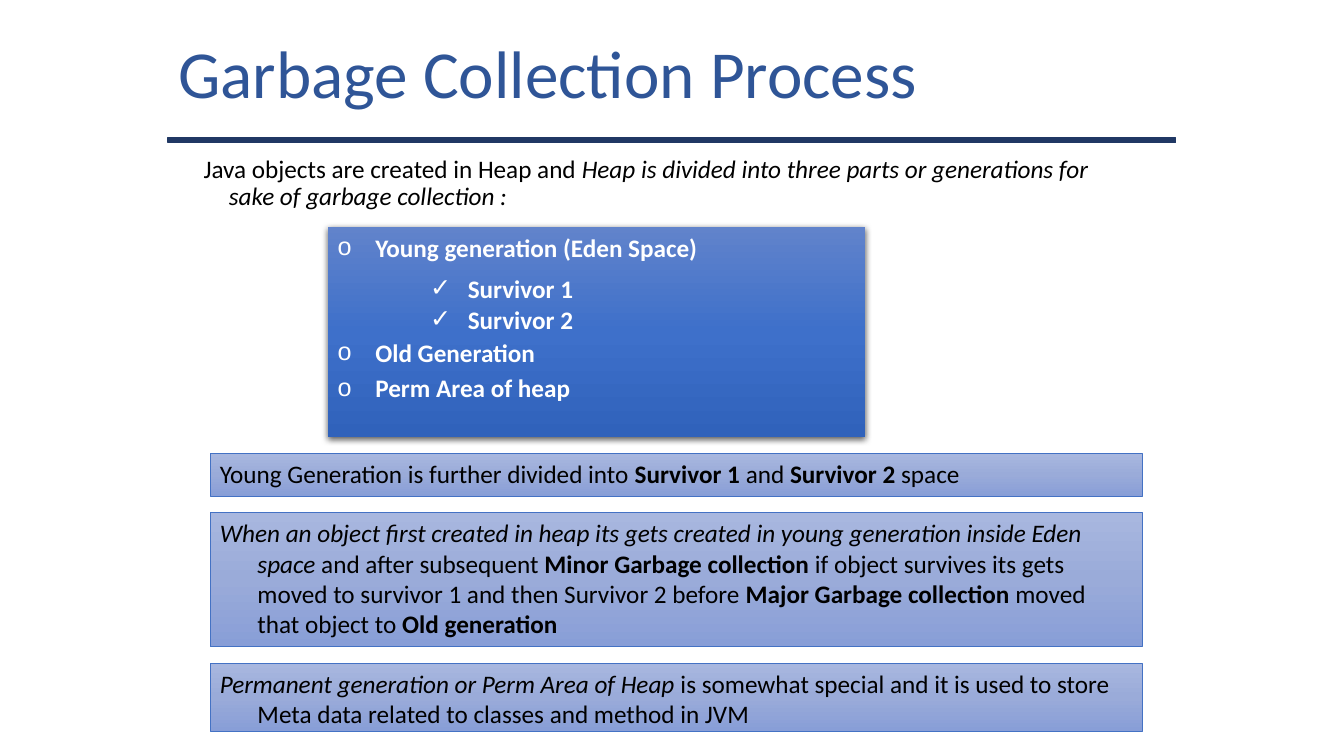
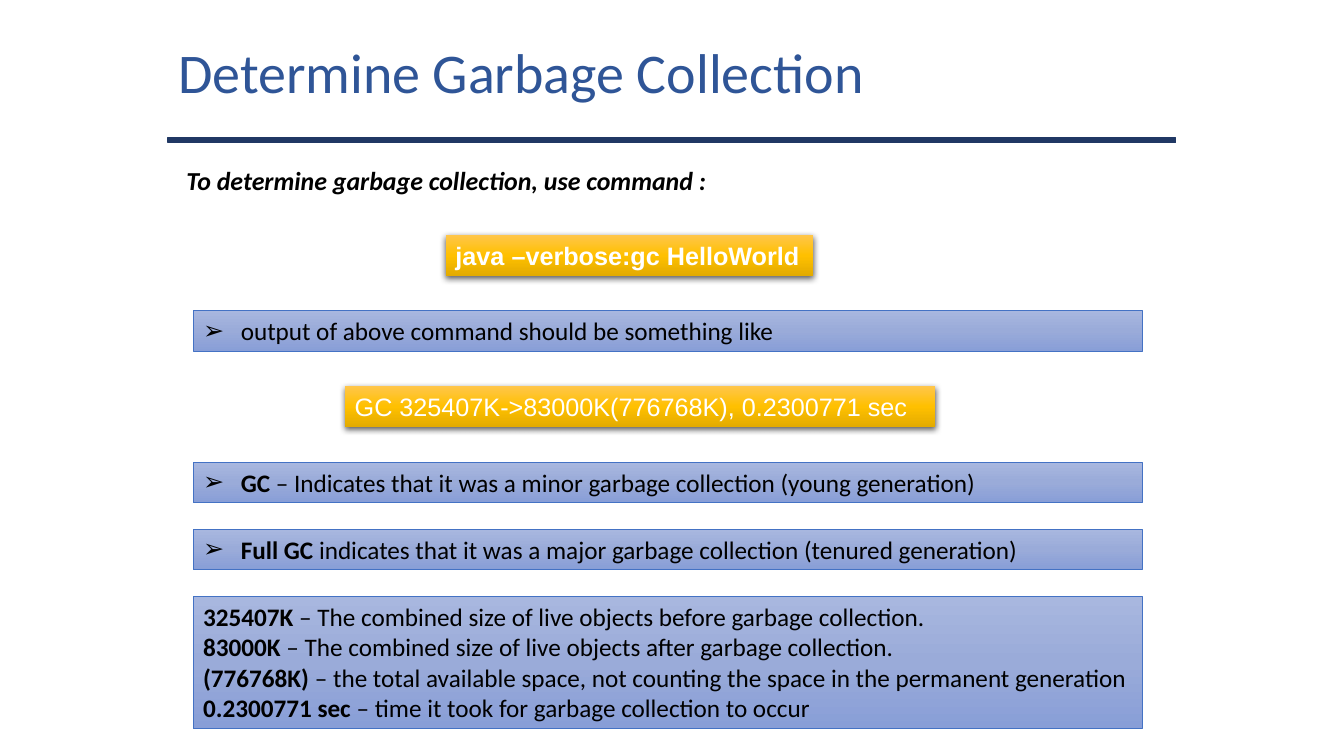
from copy import deepcopy
from itertools import accumulate
from lxml import etree
from pptx import Presentation, util as u
from pptx.dml.color import RGBColor
from pptx.enum import shapes, text
from pptx.oxml.ns import qn

Cm, Pt = u.Cm, u.Pt
NAVY, TITLE, BLACK, WHITE = "203864", "2F5597", "000000", "FFFFFF"
PALE = ("A8B7DF", "9AABD9", "889ED7")
BLUE = ("6183CB", "3E70CA", "3062BB")
GOLD = ("FFC64B", "FFC000", "E3AB00")
EDGE = "4472C4"
HANG = 0.95

# A paragraph is a list of (text, style) runs; style holds "b" and/or "i".
INTRO = [("Java objects are created in Heap and ", ""),
         ("Heap is divided into three parts or generations for sake of "
          "garbage collection :", "i")]

# text, bullet, left indent (cm), space before (pt)
PARTS = [
    ("Young generation (Eden Space)", "o", HANG, 0),
    ("Survivor 1", "✓", 3.28, 7.8),
    ("Survivor 2", "✓", 3.28, 0.4),
    ("Old Generation", "o", HANG, 2),
    ("Perm Area of heap", "o", HANG, 4),
]

# height (cm), paragraph
NOTES = [
    (1.07, [("Young Generation is further divided into ", ""),
            ("Survivor 1", "b"), (" and ", ""), ("Survivor 2", "b"),
            (" space", "")]),
    (3.38, [("When an object first created in heap its gets created in young "
             "generation inside Eden space", "i"),
            (" and after subsequent ", ""), ("Minor Garbage collection", "b"),
            (" if object survives its gets moved to survivor 1 and then "
             "Survivor 2 before ", ""),
            ("Major Garbage collection", "b"), (" moved that object to ", ""),
            ("Old generation", "b")]),
    (1.7, [("Permanent generation or Perm Area of Heap", "i"),
           (" is somewhat special and it is used to store Meta data related "
            "to classes and method in JVM", "")]),
]

ASK = [("To determine garbage collection, use command :", "bi")]

# top (cm), left, width, paragraph
CODE = [
    (5.92, 11.23, 9.27, [("java –verbose:gc HelloWorld", "b")]),
    (9.73, 8.69, 14.88, [("GC 325407K->83000K(776768K), 0.2300771 sec", "")]),
]

# top (cm), paragraph
POINTS = [
    (7.82, [("output of above command should be something like", "")]),
    (11.64, [("GC", "b"), (" – Indicates that it was a minor garbage "
                           "collection (young generation)", "")]),
    (13.33, [("Full GC", "b"), (" indicates that it was a major garbage "
                                "collection (tenured generation)", "")]),
]

SIZES = [
    [("325407K", "b"),
     (" – The combined size of live objects before garbage collection.", "")],
    [("83000K", "b"),
     (" – The combined size of live objects after garbage collection.", "")],
    [("(776768K)", "b"),
     (" – the total available space, not counting the space in the "
      "permanent generation", "")],
    [("0.2300771 sec", "b"),
     (" – time it took for garbage collection to occur", "")],
]


def rgb(code):
    return RGBColor.from_string(code)


def box(slide, at, fill=None, edge=None, width=0.5):
    """Add a rectangle, or a plain text box when there is no fill."""
    at = [Cm(n) for n in at]
    if fill is None:
        shape = slide.shapes.add_textbox(*at)
    else:
        shape = slide.shapes.add_shape(shapes.MSO_SHAPE.RECTANGLE, *at)
        shape.shadow.inherit = False
        paint(shape, fill)
        if edge:
            shape.line.color.rgb = rgb(edge)
            shape.line.width = Pt(width)
        else:
            shape.line.fill.background()
    shape.text_frame.word_wrap = True
    shape.text_frame.vertical_anchor = text.MSO_ANCHOR.TOP
    return shape


def paint(shape, fill):
    """Fill with one colour, or with three from top to bottom."""
    if isinstance(fill, str):
        shape.fill.solid()
        shape.fill.fore_color.rgb = rgb(fill)
        return
    shape.fill.gradient()
    shape.fill.gradient_angle = 270
    stops = shape._element.spPr.find(".//" + qn("a:gsLst"))
    stops.insert(1, deepcopy(stops[0]))
    for i, stop in enumerate(shape.fill.gradient_stops):
        stop.position = i / 2
        stop.color.rgb = rgb(fill[i])


def shade(shape):
    """Give the shape a soft shadow below."""
    effect = shape._element.spPr.find(qn("a:effectLst"))
    outer = etree.SubElement(effect, qn("a:outerShdw"), blurRad=str(Pt(4.5)),
                             dist=str(Pt(1.5)), dir="5400000", algn="ctr",
                             rotWithShape="0")
    color = etree.SubElement(outer, qn("a:srgbClr"), val=BLACK)
    etree.SubElement(color, qn("a:alpha"), val="63000")


def indent(para, left, hang, mark=None):
    prop = para._p.get_or_add_pPr()
    prop.set("marL", str(Cm(left)))
    prop.set("indent", str(-Cm(hang)))
    if mark:
        etree.SubElement(prop, qn("a:buFont"), typeface="Arial")
        etree.SubElement(prop, qn("a:buChar"), char=mark)


def write(shape, paras, size=18, color=BLACK, font="Calibri"):
    """Fill the shape with paragraphs of runs and return the paragraphs."""
    frame = shape.text_frame
    for i, runs in enumerate(paras):
        para = frame.add_paragraph() if i else frame.paragraphs[0]
        para.alignment = text.PP_ALIGN.LEFT
        for words, style in runs:
            run = para.add_run()
            run.text = words
            run.font.name, run.font.size = font, Pt(size)
            run.font.color.rgb = rgb(color)
            run.font.bold, run.font.italic = "b" in style, "i" in style
    return frame.paragraphs


def start(deck, title, size):
    """Add a slide with the rule and the title."""
    slide = deck.slides.add_slide(deck.slide_layouts[6])
    box(slide, (4.23, 3.47, 25.4, 0.13), NAVY, NAVY, 1)
    head = box(slide, (4.24, 0, 19.89, 3.6))
    head.text_frame.vertical_anchor = text.MSO_ANCHOR.MIDDLE
    write(head, [[(title, "")]], size, TITLE)
    return slide


def process(deck):
    slide = start(deck, "Garbage Collection Process", 48)
    para = write(box(slide, (4.88, 3.82, 23.5, 1.7)), [INTRO])[0]
    indent(para, 0.64, 0.64)
    para.line_spacing = 0.9

    gap = 0.42
    tops = accumulate((high + gap for high, _ in NOTES), initial=11.43)
    for top, (high, runs) in zip(tops, NOTES):
        note = box(slide, (5.29, top, 23.5, high), PALE, EDGE)
        indent(write(note, [runs])[0], HANG, HANG)

    heap = box(slide, (8.26, 5.72, 13.54, 5.29), BLUE)
    shade(heap)
    paras = write(heap, [[(part[0], "b")] for part in PARTS], color=WHITE)
    for para, (_, mark, left, space) in zip(paras, PARTS):
        indent(para, left, HANG, mark)
        if space:
            para.space_before = Pt(space)


def command(deck):
    slide = start(deck, "Determine Garbage Collection", 40)
    ask = box(slide, (4.45, 4.02, 14.17, 1.07))
    indent(write(ask, [ASK], 18.5)[0], HANG, HANG)

    left, wide, high = 4.87, 23.92, 1.03
    for top, runs in POINTS:
        point = box(slide, (left, top, wide, high), PALE, EDGE)
        indent(write(point, [runs])[0], HANG, HANG, "➢")
    for top, side, span, runs in CODE:
        code = box(slide, (side, top, span, high), GOLD)
        shade(code)
        write(code, [runs], color=WHITE, font="Arial")
    write(box(slide, (left, 15.03, wide, 3.33), PALE, EDGE), SIZES)


def main():
    deck = Presentation()
    deck.slide_width, deck.slide_height = Cm(33.87), Cm(19.05)
    process(deck)
    command(deck)
    deck.save("out.pptx")


if __name__ == "__main__":
    main()
